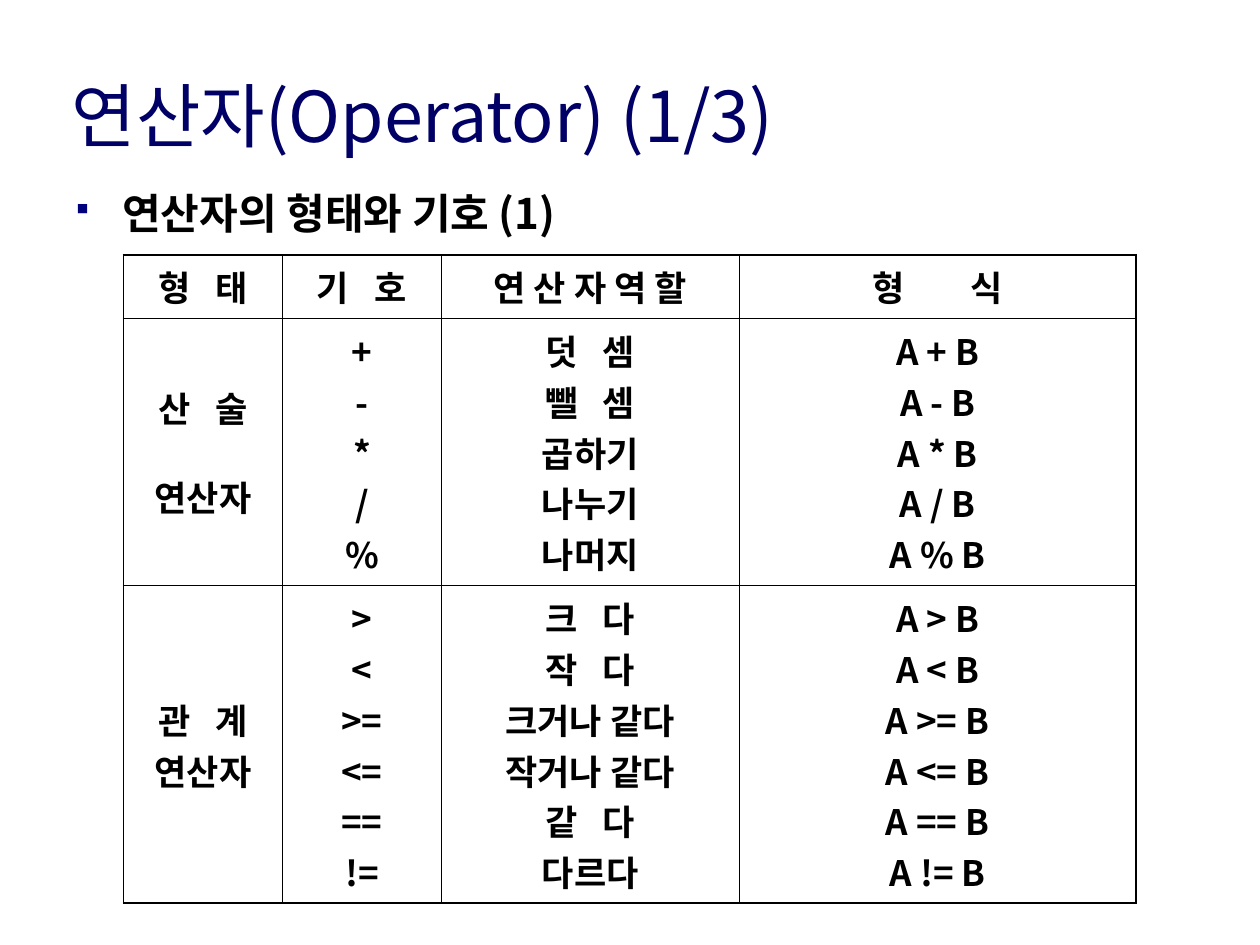
from dataclasses import dataclass

from lxml.etree import SubElement
from pptx import Presentation
from pptx.dml.color import RGBColor
from pptx.enum.text import MSO_ANCHOR, PP_ALIGN
from pptx.oxml.ns import qn
from pptx.slide import Slide
from pptx.util import Inches, Pt

SYMBOLS = [["+", "-", "*", "/", "%"], [">", "<", ">=", "<=", "==", "!="]]
ROLES = [
    ["덧 셈", "뺄 셈", "곱하기", "나누기", "나머지"],
    ["크 다", "작 다", "크거나 같다", "작거나 같다", "같 다", "다르다"],
]
GROUPS = [["산 술", "연산자"], ["관 계", "연산자"]]
HEADER = [["형 태"], ["기 호"], ["연 산 자 역 할"], ["형 식"]]
FORMAT_COLUMN = 3
COLUMN_WIDTHS = [1.26, 1.26, 2.36, 3.15]
ROW_HEIGHTS = [0.5, 2.12, 2.52]


def color(value):
    return RGBColor.from_string(value)


@dataclass
class OperatorSlide:
    """Holds the style and the slide, and adds each kind of element."""

    slide: Slide
    font: str = "Noto Sans CJK KR"
    title_color: str = "000066"
    bullet_color: str = "00007D"
    text_color: str = "000000"
    thin: float = 0.45
    thick: float = 1.13

    def format(self, paragraph, size, text_color, bold=False, tracking=0):
        font = paragraph.font
        font.name, font.size, font.bold = self.font, Pt(size), bold
        font.color.rgb = color(text_color)
        properties = paragraph._p.get_or_add_pPr().find(qn("a:defRPr"))
        properties.set("kern", "0")
        SubElement(properties, qn("a:ea"), typeface=self.font)
        if tracking:
            properties.set("spc", str(int(tracking * 100)))

    def place(self, shape, left, top, width, height):
        shape.left, shape.top = Inches(left), Inches(top)
        shape.width, shape.height = Inches(width), Inches(height)

    def title(self, text, *box):
        shape = self.slide.shapes.title
        self.place(shape, *box)
        shape.text_frame.text = text
        shape.text_frame.vertical_anchor = MSO_ANCHOR.MIDDLE
        paragraph = shape.text_frame.paragraphs[0]
        paragraph.alignment = PP_ALIGN.LEFT
        self.format(paragraph, 40, self.title_color)

    def bullet(self, text, *box):
        shape = self.slide.shapes.add_textbox(*map(Inches, box))
        shape.text_frame.word_wrap = True
        paragraph = shape.text_frame.paragraphs[0]
        paragraph.text = text
        properties = paragraph._p.get_or_add_pPr()
        properties.set("marL", str(Inches(0.37)))
        properties.set("indent", str(-Inches(0.37)))
        bullet_fill = SubElement(properties, qn("a:buClr"))
        SubElement(bullet_fill, qn("a:srgbClr"), val=self.bullet_color)
        SubElement(properties, qn("a:buSzPct"), val="75000")
        SubElement(properties, qn("a:buFont"), typeface="Wingdings", charset="2")
        SubElement(properties, qn("a:buChar"), char="§")
        self.format(paragraph, 24, self.text_color, bold=True)

    def borders(self, cell, outer_sides):
        properties = cell._tc.get_or_add_tcPr()
        for side in "LRTB":
            width = self.thick if side in outer_sides else self.thin
            line = SubElement(properties, qn(f"a:ln{side}"), w=str(Pt(width)))
            fill = SubElement(line, qn("a:solidFill"))
            SubElement(fill, qn("a:srgbClr"), val=self.text_color)
        cell.fill.background()

    def cell(self, cell, lines, tracking, gap, outer_sides):
        self.borders(cell, outer_sides)
        cell.vertical_anchor = MSO_ANCHOR.MIDDLE
        cell.text = "\n".join(lines)
        for index, paragraph in enumerate(cell.text_frame.paragraphs):
            paragraph.alignment = PP_ALIGN.CENTER
            if index and gap:
                paragraph.space_before = Pt(gap)
            spaced = len(lines[index]) == 3 and lines[index][1] == " "
            self.format(paragraph, 20, self.text_color, True, tracking if spaced else 0)

    def table(self, rows, left, top):
        shape = self.slide.shapes.add_table(
            len(rows), len(COLUMN_WIDTHS), Inches(left), Inches(top),
            Inches(sum(COLUMN_WIDTHS)), Inches(sum(ROW_HEIGHTS)))
        table = shape.table
        table.first_row = table.horz_banding = False
        for column, width in zip(table.columns, COLUMN_WIDTHS):
            column.width = Inches(width)
        for row, height in zip(table.rows, ROW_HEIGHTS):
            row.height = Inches(height)
        last_row, last_column = len(rows) - 1, len(COLUMN_WIDTHS) - 1
        for row, contents in enumerate(rows):
            for column, lines in enumerate(contents):
                edges = {"T": row == 0, "B": row == last_row,
                         "L": column == 0, "R": column == last_column}
                outer_sides = [side for side, outer in edges.items() if outer]
                tracking = 16.5 if column == FORMAT_COLUMN else 5
                gap = 22 if lines == GROUPS[0] else 0
                self.cell(table.cell(row, column), lines, tracking, gap, outer_sides)


def main():
    presentation = Presentation()
    presentation.slide_width = Inches(9.99)
    presentation.slide_height = Inches(7.49)
    slide = presentation.slides.add_slide(presentation.slide_layouts[5])
    page = OperatorSlide(slide)
    page.title("연산자(Operator) (1/3)", 0.47, 0.48, 9.19, 0.86)
    page.bullet("연산자의 형태와 기호 (1)", 0.5, 1.44, 9, 0.58)
    rows = [HEADER]
    for group, symbols, roles in zip(GROUPS, SYMBOLS, ROLES):
        rows.append([group, symbols, roles, [f"A {symbol} B" for symbol in symbols]])
    page.table(rows, 0.98, 2.02)
    presentation.save("out.pptx")


if __name__ == "__main__":
    main()
